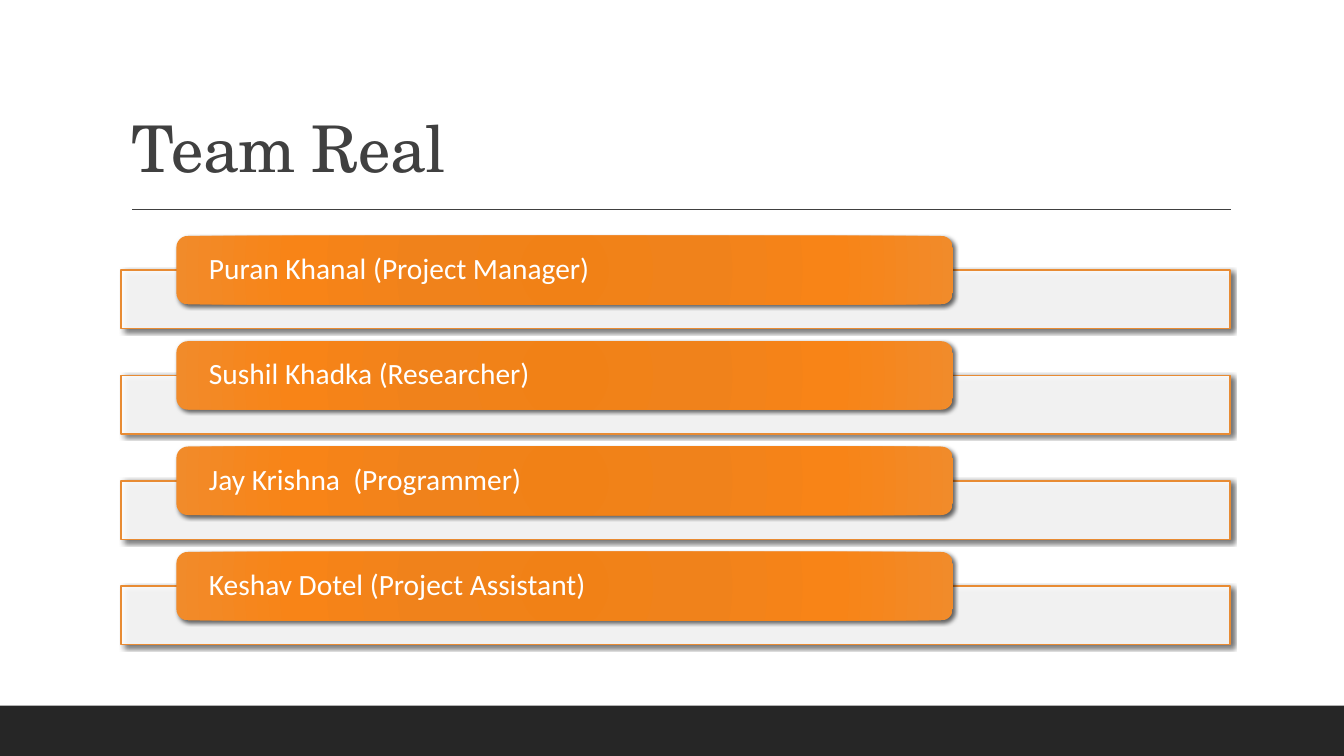
"""Build the team slide: a ruled title above four labelled member bars."""
from lxml import etree
from pptx import Presentation
from pptx.dml.color import RGBColor
from pptx.enum.shapes import MSO_CONNECTOR, MSO_SHAPE
from pptx.enum.text import MSO_ANCHOR, MSO_AUTO_SIZE, PP_ALIGN
from pptx.oxml import parse_xml
from pptx.oxml.ns import qn
from pptx.util import Inches, Pt

RECTANGLE = MSO_SHAPE.RECTANGLE
ROUNDED = MSO_SHAPE.ROUNDED_RECTANGLE
STRAIGHT = MSO_CONNECTOR.STRAIGHT
LEFT = PP_ALIGN.LEFT
MIDDLE, BOTTOM = MSO_ANCHOR.MIDDLE, MSO_ANCHOR.BOTTOM
NO_AUTOFIT = MSO_AUTO_SIZE.NONE

COLORS = {"white": "FFFFFF", "title": "404040", "footer": "262626",
          "outline": "E88B33", "shadow": "000000"}
PILL_STOPS = [(0, "F18116"), (34, "F0821B"), (70, "F88417"), (100, "F18B2A")]
NAMESPACE = 'xmlns:a="http://schemas.openxmlformats.org/drawingml/2006/main"'

MEMBERS = ["Puran Khanal (Project Manager)", "Sushil Khadka (Researcher)",
           "Jay Krishna  (Programmer)", "Keshav Dotel (Project Assistant)"]
FIRST_TOP, ROW_STEP, BAR_OFFSET = 2.34, 1.045, 0.34


def style_text(text_frame, size, font_name, color, anchor):
    text_frame.word_wrap = True
    text_frame.auto_size = NO_AUTOFIT
    text_frame.vertical_anchor = anchor
    paragraph = text_frame.paragraphs[0]
    paragraph.alignment = LEFT
    paragraph.line_spacing = 0.9
    font = paragraph.runs[0].font
    font.size = Pt(size)
    font.name = font_name
    font.color.rgb = RGBColor.from_string(COLORS[color])


def add_shadow(shape):
    shape.shadow.inherit = False
    effects = shape._element.spPr.find(qn("a:effectLst"))
    effects.append(parse_xml(
        f'<a:outerShdw {NAMESPACE} blurRad="{Pt(3)}" dist="{Pt(2)}" dir="2700000" '
        f'algn="tl" rotWithShape="0"><a:srgbClr val="{COLORS["shadow"]}">'
        '<a:alpha val="60000"/></a:srgbClr></a:outerShdw>'))


presentation = Presentation()
presentation.slide_width = Inches(13.33)
presentation.slide_height = Inches(7.5)
slide = presentation.slides.add_slide(presentation.slide_layouts[5])
shapes = slide.shapes

title = shapes.title
title.left, title.top = Inches(1.2), Inches(0.31)
title.width, title.height = Inches(11), Inches(1.59)
title.text_frame.text = "Team Real"
style_text(title.text_frame, 46, "TeX Gyre Schola", "title", BOTTOM)
title.text_frame.paragraphs[0].runs[0]._r.get_or_add_rPr().set("spc", "-50")

rule = shapes.add_connector(STRAIGHT, Inches(1.31), Inches(2.08),
                            Inches(12.21), Inches(2.08))
rule.line.color.rgb = RGBColor.from_string(COLORS["title"])
rule.line.width = Pt(1)
etree.SubElement(rule._element.spPr, qn("a:effectLst"))

footer = shapes.add_shape(RECTANGLE, 0, Inches(7), Inches(13.33), Inches(0.5))
footer.shadow.inherit = False
footer.fill.solid()
footer.fill.fore_color.rgb = RGBColor.from_string(COLORS["footer"])
footer.line.fill.background()

stops = "".join(f'<a:gs pos="{position * 1000}"><a:srgbClr val="{color}"/></a:gs>'
                for position, color in PILL_STOPS)

for row, member in enumerate(MEMBERS):
    top = FIRST_TOP + row * ROW_STEP

    bar = shapes.add_shape(RECTANGLE, Inches(1.2), Inches(top + BAR_OFFSET),
                           Inches(11), Inches(0.58))
    bar.fill.solid()
    bar.fill.fore_color.rgb = RGBColor.from_string(COLORS["white"])
    bar_color = bar._element.spPr.find(qn("a:solidFill"))[0]
    etree.SubElement(bar_color, qn("a:alpha"), val="90000")
    bar.line.color.rgb = RGBColor.from_string(COLORS["outline"])
    bar.line.width = Pt(1)
    add_shadow(bar)

    pill = shapes.add_shape(ROUNDED, Inches(1.75), Inches(top),
                            Inches(7.7), Inches(0.68))
    pill.line.fill.background()
    pill._element.spPr.find(qn("a:prstGeom")).addnext(parse_xml(
        f'<a:gradFill {NAMESPACE} rotWithShape="1"><a:gsLst>{stops}</a:gsLst>'
        '<a:path path="circle"><a:fillToRect l="100000" t="100000" '
        'r="100000" b="100000"/></a:path></a:gradFill>'))
    add_shadow(pill)
    label = pill.text_frame
    label.text = member
    label.margin_left = label.margin_right = Inches(0.29)
    label.margin_top = label.margin_bottom = 0
    style_text(label, 21, "Calibri", "white", MIDDLE)

presentation.save("out.pptx")
